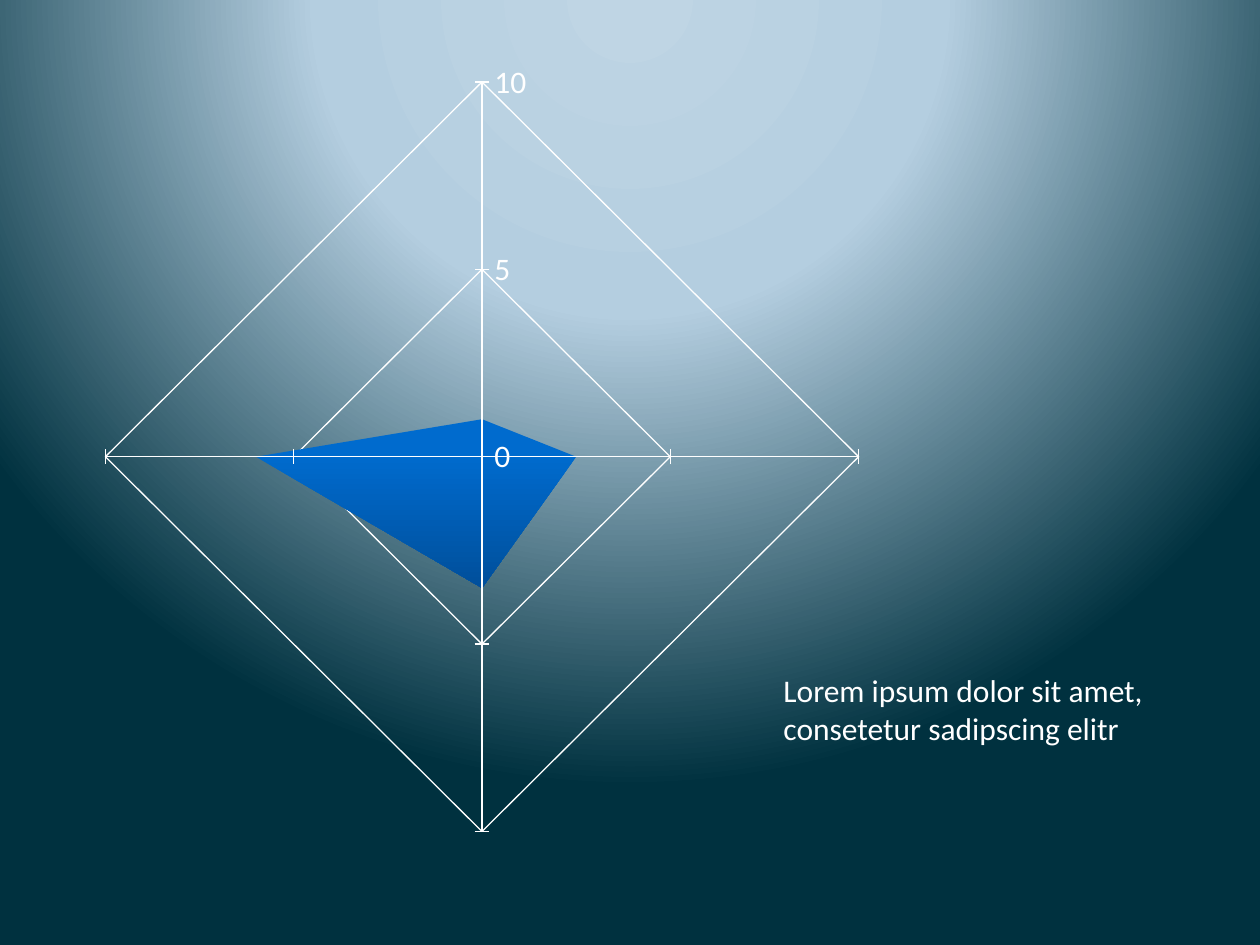
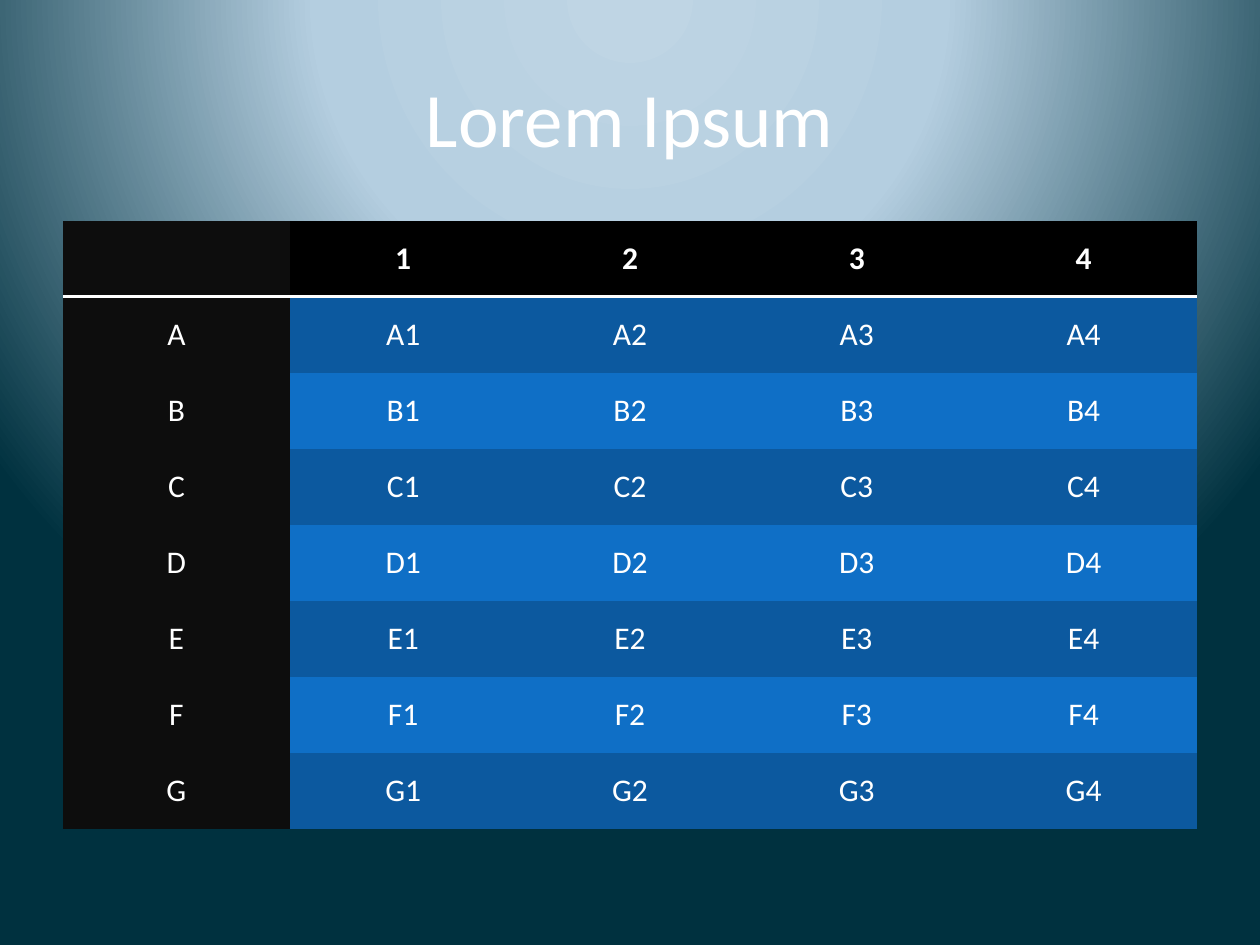
from lxml.etree import SubElement
from pptx import Presentation
from pptx.chart.data import CategoryChartData
from pptx.dml.color import RGBColor
from pptx.enum.chart import XL_CHART_TYPE as ChartType, XL_TICK_MARK as TickMark
from pptx.enum.text import MSO_ANCHOR as Anchor, MSO_AUTO_SIZE as AutoSize, PP_ALIGN as Align
from pptx.oxml import parse_xml
from pptx.oxml.ns import nsdecls, qn
from pptx.util import Pt

EMU_PER_PX = 9144
FONT = "Calibri"
COLORS = {
    "white": "FFFFFF",
    "sky_light": "BFD5E4",
    "sky": "B4CEE0",
    "deep_sea": "00313F",
    "black": "000000",
    "row_label": "0D0D0D",
    "band_dark": "0C599F",
    "band_light": "0F6FC6",
    "area_top": "006BCE",
    "area_bottom": "004F9B",
}
BACKGROUND_STOPS = {0: "sky_light", 40: "sky", 100: "deep_sea"}
PLOT_LAYOUT = {"x": 0.077, "y": 0.019, "w": 0.896, "h": 0.943}
PLAIN_TABLE_STYLE = "{2D5ABB26-0587-4C30-8999-92F81FD0307C}"


def px(*lengths):
    """Turn lengths in px, 100 to the inch, into EMU."""
    return [length * EMU_PER_PX for length in lengths]


def rgb(name):
    """Return the named colour."""
    return RGBColor.from_string(COLORS[name])


def style_font(font, size=18, color="white", bold=False):
    """Set the shared font with its size, colour and weight."""
    font.name = FONT
    font.size = Pt(size)
    font.bold = bold
    font.color.rgb = rgb(color)


def write_text(frame, text, align=Align.LEFT, **font_format):
    """Write one formatted paragraph into a text frame."""
    paragraph = frame.paragraphs[0]
    paragraph.alignment = align
    run = paragraph.add_run()
    run.text = text
    style_font(run.font, **font_format)


def add_text(slide, box, text, anchor=Anchor.TOP, auto_size=AutoSize.NONE, **text_format):
    """Add a wrapping text box."""
    frame = slide.shapes.add_textbox(*px(*box)).text_frame
    frame.word_wrap = True
    frame.auto_size = auto_size
    frame.vertical_anchor = anchor
    write_text(frame, text, **text_format)


def paint_background(master):
    """Give the slide master a circular gradient centred above the slide."""
    master.background.fill.gradient()
    gradient = master.element.find(".//" + qn("a:gradFill"))
    for child in list(gradient):
        gradient.remove(child)
    stops = SubElement(gradient, qn("a:gsLst"))
    for percent, name in BACKGROUND_STOPS.items():
        stop = SubElement(stops, qn("a:gs"), pos=str(percent * 1000))
        SubElement(stop, qn("a:srgbClr"), val=COLORS[name])
    circle = SubElement(gradient, qn("a:path"), path="circle")
    SubElement(circle, qn("a:fillToRect"), l="50000", t="-80000", r="50000", b="180000")


def style_line(line, color="white", width=0.75):
    """Set the colour and width of a line."""
    line.color.rgb = rgb(color)
    line.width = Pt(width)


def place_plot(chart):
    """Fix the inner plot area of a chart."""
    plot_area = chart.plots[0]._element.getparent()
    for layout in plot_area.findall(qn("c:layout")):
        plot_area.remove(layout)
    layout = parse_xml(f"<c:layout {nsdecls('c')}/>")
    manual = SubElement(layout, qn("c:manualLayout"))
    SubElement(manual, qn("c:layoutTarget"), val="inner")
    for side in "xy":
        SubElement(manual, qn(f"c:{side}Mode"), val="edge")
    for side, share in PLOT_LAYOUT.items():
        SubElement(manual, qn(f"c:{side}"), val=str(share))
    plot_area.insert(0, layout)


def add_radar(slide, box, categories, name, values):
    """Add a filled radar chart with a white grid."""
    data = CategoryChartData()
    data.categories = categories
    data.add_series(name, values)
    chart = slide.shapes.add_chart(ChartType.RADAR_FILLED, *px(*box), data).chart
    chart.has_legend = False
    chart.has_title = False
    style_font(chart.font)
    place_plot(chart)

    chart.category_axis.visible = False
    value_axis = chart.value_axis
    value_axis.minimum_scale, value_axis.maximum_scale, value_axis.major_unit = 0, 10, 5
    value_axis.major_tick_mark = TickMark.OUTSIDE
    value_axis.minor_tick_mark = TickMark.NONE
    value_axis.tick_labels.number_format = "General"
    value_axis.tick_labels.number_format_is_linked = False
    style_font(value_axis.tick_labels.font)
    style_line(value_axis.format.line)
    for axis in (chart.category_axis, value_axis):
        axis.has_major_gridlines = True
        style_line(axis.major_gridlines.format.line)

    area = chart.plots[0].series[0].format
    area.line.fill.background()
    area.fill.gradient()
    area.fill.gradient_angle = 270
    top, bottom = area.fill.gradient_stops
    top.color.rgb, top.position = rgb("area_top"), 0.2
    bottom.color.rgb, bottom.position = rgb("area_bottom"), 1


def underline_cell(cell, color="white", width=2):
    """Draw the bottom border of a table cell."""
    border = parse_xml(
        f'<a:lnB {nsdecls("a")} w="{Pt(width)}"><a:solidFill>'
        f'<a:srgbClr val="{COLORS[color]}"/></a:solidFill></a:lnB>'
    )
    cell._tc.get_or_add_tcPr().insert(0, border)


def cell_color(row, column):
    """Choose the fill of a cell from its place in the table."""
    if column == 0:
        return "row_label"
    if row == 0:
        return "black"
    return "band_dark" if row % 2 else "band_light"


def add_grid_table(slide, box, row_names, column_names):
    """Add a table whose cells combine their row and column names."""
    rows, columns = ["", *row_names], ["", *column_names]
    table = slide.shapes.add_table(len(rows), len(columns), *px(*box)).table
    table._tbl.tblPr.find(qn("a:tableStyleId")).text = PLAIN_TABLE_STYLE
    for row, row_name in enumerate(rows):
        for column, column_name in enumerate(columns):
            cell = table.cell(row, column)
            cell.vertical_anchor = Anchor.MIDDLE
            cell.fill.solid()
            cell.fill.fore_color.rgb = rgb(cell_color(row, column))
            if row == 0:
                underline_cell(cell)
            if row_name or column_name:
                write_text(cell.text_frame, row_name + column_name,
                           align=Align.CENTER, bold=row == 0)


def main():
    """Build the radar slide and the table slide."""
    presentation = Presentation()
    presentation.slide_width, presentation.slide_height = px(1000, 750)
    paint_background(presentation.slide_master)
    blank = presentation.slide_layouts[6]

    radar_slide = presentation.slides.add_slide(blank)
    add_radar(radar_slide, (-72, 50, 866, 634), "1234", "Series 1", (1, 2.5, 3.5, 6))
    add_text(radar_slide, (612, 528, 386, 71),
             "Lorem ipsum dolor sit amet, consetetur sadipscing elitr",
             auto_size=AutoSize.SHAPE_TO_FIT_TEXT)

    table_slide = presentation.slides.add_slide(blank)
    add_text(table_slide, (50, 30, 900, 125), "Lorem Ipsum",
             anchor=Anchor.MIDDLE, align=Align.CENTER, size=44)
    add_grid_table(table_slide, (50, 175, 900, 483), "ABCDEFG", "1234")

    presentation.save("out.pptx")


if __name__ == "__main__":
    main()
